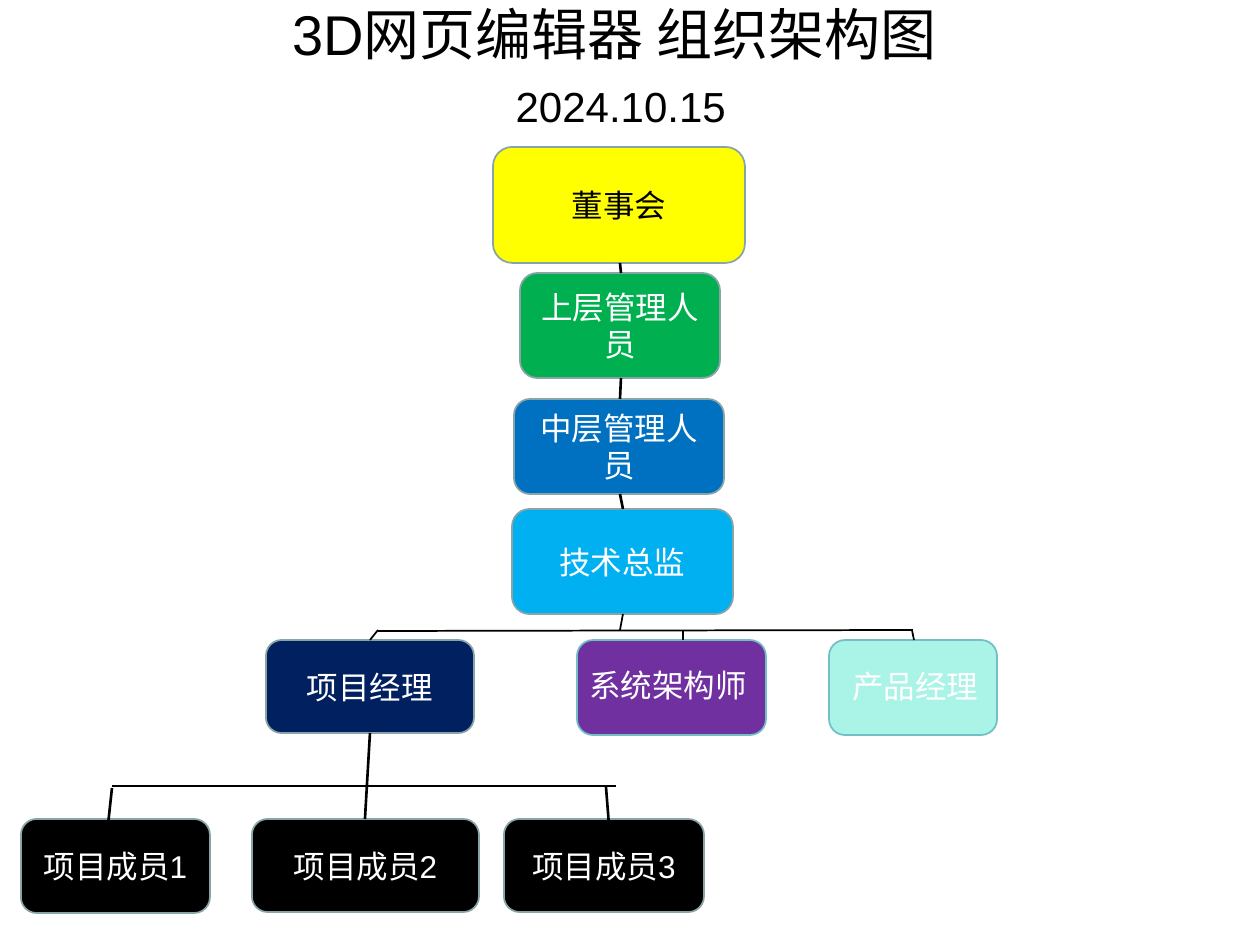
from dataclasses import dataclass

from lxml.etree import SubElement
from pptx import Presentation
from pptx.dml.color import RGBColor
from pptx.enum.shapes import MSO_CONNECTOR as Connector, MSO_SHAPE as Shape
from pptx.enum.text import MSO_ANCHOR as Anchor, PP_ALIGN as Align
from pptx.oxml.ns import qn
from pptx.util import Emu, Pt

PX_PER_INCH = 126


@dataclass(frozen=True)
class Theme:
    font: str = "Arial"
    title_size: int = 32
    date_size: int = 24
    label_size: int = 18
    dark: str = "000000"
    light: str = "FFFFFF"
    board: str = "FFFF00"
    senior: str = "00B050"
    middle: str = "0070C0"
    director: str = "00B0F0"
    manager: str = "002060"
    architect: str = "7030A0"
    product: str = "AAF4E7"
    grey_edge: str = "89A4A7"
    teal_edge: str = "72BFC5"
    thin: float = 1
    thick: float = 1.5


THEME = Theme()

STAFF_BOXES = [
    ("董事会", (493, 147, 252, 116), THEME.board, THEME.dark),
    ("上层管理人员", (520, 273, 200, 105), THEME.senior, THEME.light),
    ("中层管理人员", (514, 399, 210, 95), THEME.middle, THEME.light),
    ("技术总监", (512, 509, 221, 105), THEME.director, THEME.light),
    ("项目经理", (266, 640, 208, 93), THEME.manager, THEME.light),
    ("项目成员1", (21, 819, 189, 94), THEME.dark, THEME.light),
    ("项目成员2", (252, 819, 227, 93), THEME.dark, THEME.light),
    ("项目成员3", (504, 819, 200, 93), THEME.dark, THEME.light),
]

SPECIALIST_BOXES = [
    ("系统架构师", (577, 640, 189, 95), (577, 660, 189, 48), THEME.architect),
    ("产品经理", (829, 640, 168, 95), (840, 661, 157, 48), THEME.product),
]

THICK_LINES = [
    (620, 263, 621, 273),
    (621, 378, 620, 399),
    (620, 494, 623, 509),
    (370, 733, 365, 819),
    (112, 786, 616, 786),
    (112, 788, 108, 825),
    (606, 787, 609, 825),
]

THIN_LINES = [
    (370, 640, 378, 630),
    (623, 614, 620, 630),
    (378, 631, 913, 630),
    (683, 630, 683, 640),
    (912, 630, 914, 640),
]


def px(value):
    return Emu(round(value * 914400 / PX_PER_INCH))


def set_attributes(target, values):
    for name, value in values.items():
        setattr(target, name, value)


def add_run(paragraph, text, size, color):
    run = paragraph.add_run()
    run.text = text
    set_attributes(run.font, {"name": THEME.font, "size": Pt(size)})
    run.font.color.rgb = RGBColor.from_string(color)


def add_box(slide, place, fill, edge):
    shape = slide.shapes.add_shape(Shape.ROUNDED_RECTANGLE, *map(px, place))
    shape.shadow.inherit = False
    shape.fill.solid()
    shape.fill.fore_color.rgb = RGBColor.from_string(fill)
    shape.line.color.rgb = RGBColor.from_string(edge)
    shape.line.width = Pt(THEME.thin)
    return shape


def add_staff_box(slide, label, place, fill, color):
    frame = add_box(slide, place, fill, THEME.grey_edge).text_frame
    set_attributes(frame, {"word_wrap": True, "vertical_anchor": Anchor.MIDDLE})
    paragraph = frame.paragraphs[0]
    paragraph.alignment = Align.CENTER
    add_run(paragraph, label, THEME.label_size, color)


def add_text_box(slide, place, align, anchor):
    frame = slide.shapes.add_textbox(*map(px, place)).text_frame
    set_attributes(frame, {"word_wrap": True, "vertical_anchor": anchor})
    paragraph = frame.paragraphs[0]
    paragraph.alignment = align
    return paragraph


def add_specialist_box(slide, label, place, label_place, fill):
    add_box(slide, place, fill, THEME.teal_edge)
    paragraph = add_text_box(slide, label_place, Align.LEFT, Anchor.TOP)
    add_run(paragraph, label, THEME.label_size, THEME.light)


def add_title(slide):
    paragraph = add_text_box(slide, (86, 9, 1057, 116), Align.CENTER, Anchor.MIDDLE)
    add_run(paragraph, "3D网页编辑器 组织架构图", THEME.title_size, THEME.dark)
    paragraph.add_line_break()
    add_run(paragraph, " ", THEME.title_size, THEME.dark)
    add_run(paragraph, "2024.10.15", THEME.date_size, THEME.dark)


def add_line(slide, ends, width):
    line = slide.shapes.add_connector(Connector.STRAIGHT, *map(px, ends))
    line.line.color.rgb = RGBColor.from_string(THEME.dark)
    line.line.width = Pt(width)
    SubElement(line._element.spPr, qn("a:effectLst"))


def main():
    presentation = Presentation()
    set_attributes(presentation, {"slide_width": px(1260), "slide_height": px(945)})
    slide = presentation.slides.add_slide(presentation.slide_layouts[6])
    add_title(slide)
    for box in STAFF_BOXES:
        add_staff_box(slide, *box)
    for box in SPECIALIST_BOXES:
        add_specialist_box(slide, *box)
    for width, lines in ((THEME.thick, THICK_LINES), (THEME.thin, THIN_LINES)):
        for ends in lines:
            add_line(slide, ends, width)
    presentation.save("out.pptx")


if __name__ == "__main__":
    main()
